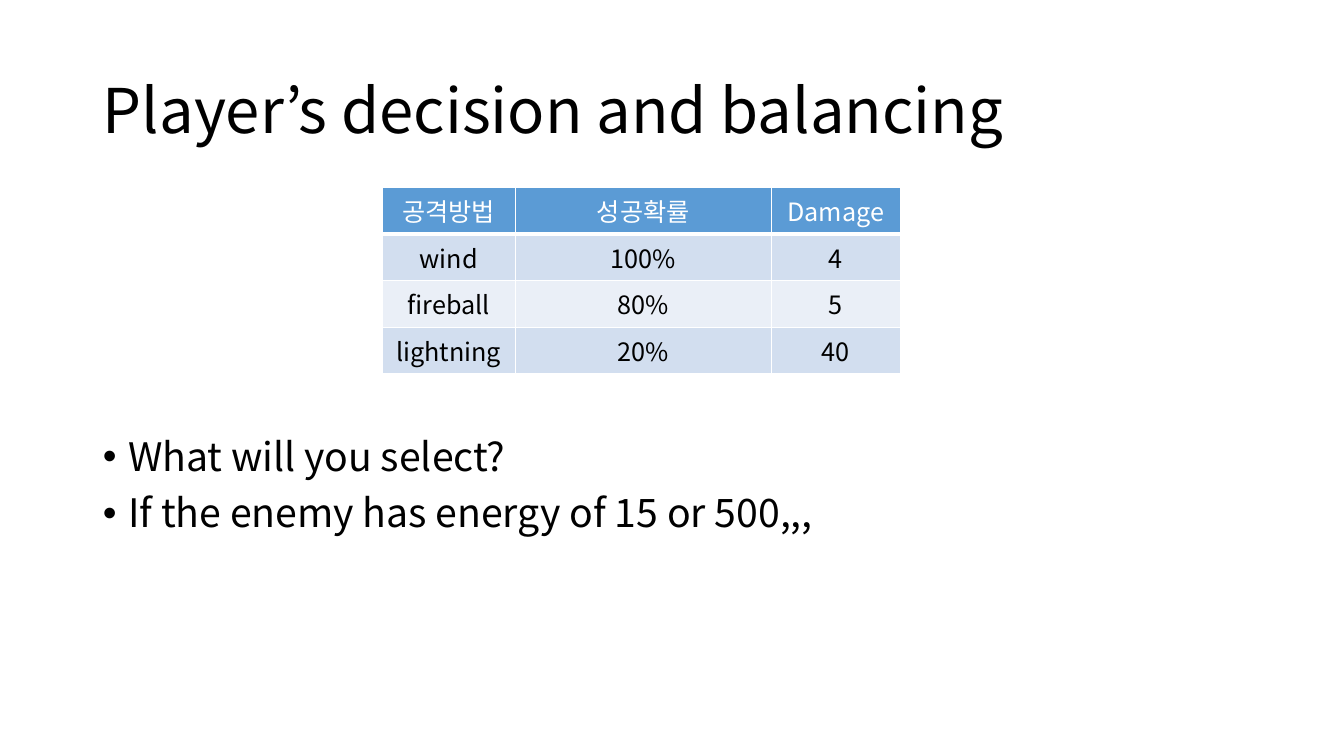
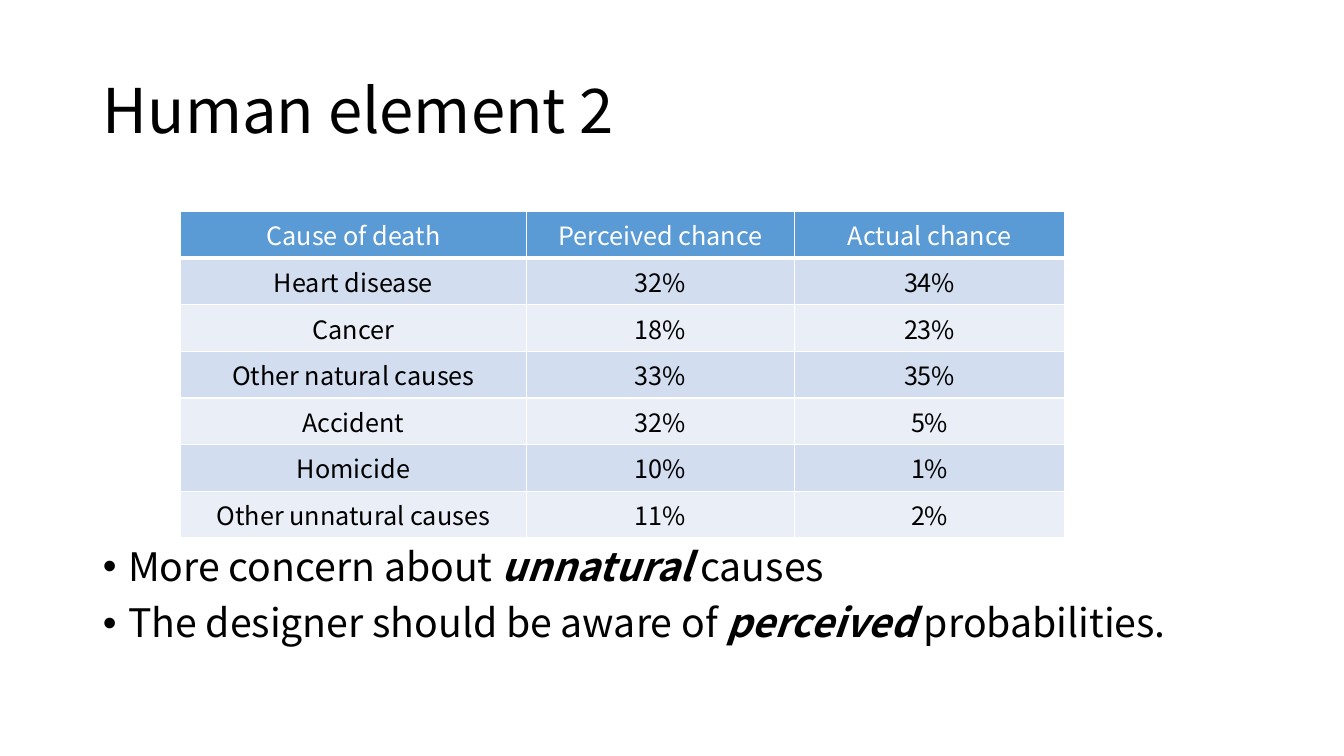
"""Build two slides on probability and player decisions, each with a table and bullets."""
from lxml.etree import SubElement
from pptx import Presentation
from pptx.dml.color import RGBColor
from pptx.enum.text import MSO_ANCHOR as Anchor, MSO_AUTO_SIZE as AutoSize, PP_ALIGN as Align
from pptx.oxml.ns import qn
from pptx.util import Inches, Pt

BLACK = RGBColor(0x00, 0x00, 0x00)
WHITE = RGBColor(0xFF, 0xFF, 0xFF)
HEADER_BLUE = RGBColor(0x5B, 0x9B, 0xD5)
BAND_DARK = RGBColor(0xD2, 0xDE, 0xEF)
BAND_LIGHT = RGBColor(0xEA, 0xEF, 0xF7)

FONT = "Noto Sans CJK KR"
TITLE_FONT = {"name": FONT, "size": Pt(44), "bold": False}
BULLET_FONT = {"name": FONT, "size": Pt(28), "bold": False, "italic": False}
EMPHASIS_FONT = {**BULLET_FONT, "bold": True, "italic": True}
CELL_FONT = {"name": FONT, "size": Pt(18), "bold": False}
TITLE_PARAGRAPH = {"alignment": Align.LEFT, "line_spacing": 0.9}
BULLET_PARAGRAPH = {"alignment": Align.LEFT, "line_spacing": 0.9, "space_before": Pt(10)}

MARGIN, CONTENT_WIDTH = Inches(0.92), Inches(11.5)
ROW_HEIGHT = Inches(0.46)
BULLET_INDENT = Inches(0.25)

SLIDES = [
    {
        "title": "Player’s decision and balancing",
        "table_at": (3.79, 1.86),
        "columns": [1.32, 2.54, 1.28],
        "rows": [
            ["공격방법", "성공확률", "Damage"],
            ["wind", "100%", "4"],
            ["fireball", "80%", "5"],
            ["lightning", "20%", "40"],
        ],
        "bullets_top": 4.29,
        "bullets_height": 2.46,
        "bullets": ["What will you select?", "If the enemy has energy of 15 or 500,,,"],
    },
    {
        "title": "Human element 2",
        "table_at": (1.79, 2.1),
        "columns": [3.43, 2.66, 2.68],
        "rows": [
            ["Cause of death", "Perceived chance", "Actual chance"],
            ["Heart disease", "32%", "34%"],
            ["Cancer", "18%", "23%"],
            ["Other natural causes", "33%", "35%"],
            ["Accident", "32%", "5%"],
            ["Homicide", "10%", "1%"],
            ["Other unnatural causes", "11%", "2%"],
        ],
        "bullets_top": 5.38,
        "bullets_height": 1.16,
        "bullets": [
            "More concern about *unnatural* causes",
            "The designer should be aware of *perceived* probabilities.",
        ],
    },
]


def add_run(paragraph, text, style, color=BLACK):
    run = paragraph.add_run()
    run.text = text
    for attribute, value in style.items():
        setattr(run.font, attribute, value)
    run.font.color.rgb = color
    SubElement(run.font._element, qn("a:ea"), typeface=FONT)


def add_borders(cell, bottom_width):
    properties = cell._tc.get_or_add_tcPr()
    for side, width in (("L", 1), ("R", 1), ("T", 1), ("B", bottom_width)):
        border = SubElement(properties, qn(f"a:ln{side}"), w=str(Pt(width)))
        SubElement(SubElement(border, qn("a:solidFill")), qn("a:srgbClr"), val=str(WHITE))


deck = Presentation()
deck.slide_width, deck.slide_height = Inches(13.33), Inches(7.5)

for content in SLIDES:
    slide = deck.slides.add_slide(deck.slide_layouts[1])
    title, bullets = slide.placeholders
    places = (
        (title, Inches(0.4), Inches(1.45), Anchor.MIDDLE),
        (bullets, Inches(content["bullets_top"]), Inches(content["bullets_height"]), Anchor.TOP),
    )
    for placeholder, top, height, anchor in places:
        placeholder.left, placeholder.top = MARGIN, top
        placeholder.width, placeholder.height = CONTENT_WIDTH, height
        placeholder.text_frame.auto_size = AutoSize.NONE
        placeholder.text_frame.vertical_anchor = anchor

    heading = title.text_frame.paragraphs[0]
    for attribute, value in TITLE_PARAGRAPH.items():
        setattr(heading, attribute, value)
    add_run(heading, content["title"], TITLE_FONT)

    for number, sentence in enumerate(content["bullets"]):
        frame = bullets.text_frame
        bullet = frame.add_paragraph() if number else frame.paragraphs[0]
        for attribute, value in BULLET_PARAGRAPH.items():
            setattr(bullet, attribute, value)
        indents = bullet._p.get_or_add_pPr()
        indents.set("marL", str(BULLET_INDENT))
        indents.set("indent", str(-BULLET_INDENT))
        for part, words in enumerate(sentence.split("*")):
            add_run(bullet, words, EMPHASIS_FONT if part % 2 else BULLET_FONT)

    rows, columns = content["rows"], content["columns"]
    left, top = content["table_at"]
    chances = slide.shapes.add_table(
        len(rows), len(columns), Inches(left), Inches(top),
        Inches(sum(columns)), ROW_HEIGHT * len(rows),
    ).table
    for column, width in zip(chances.columns, columns):
        column.width = Inches(width)

    for row_number, row in enumerate(rows):
        is_header = row_number == 0
        band = HEADER_BLUE if is_header else BAND_DARK if row_number % 2 else BAND_LIGHT
        for column_number, text in enumerate(row):
            cell = chances.cell(row_number, column_number)
            add_borders(cell, 3 if is_header else 1)
            cell.fill.solid()
            cell.fill.fore_color.rgb = band
            entry = cell.text_frame.paragraphs[0]
            entry.alignment = Align.CENTER
            add_run(entry, text, CELL_FONT, WHITE if is_header else BLACK)

deck.save("out.pptx")
